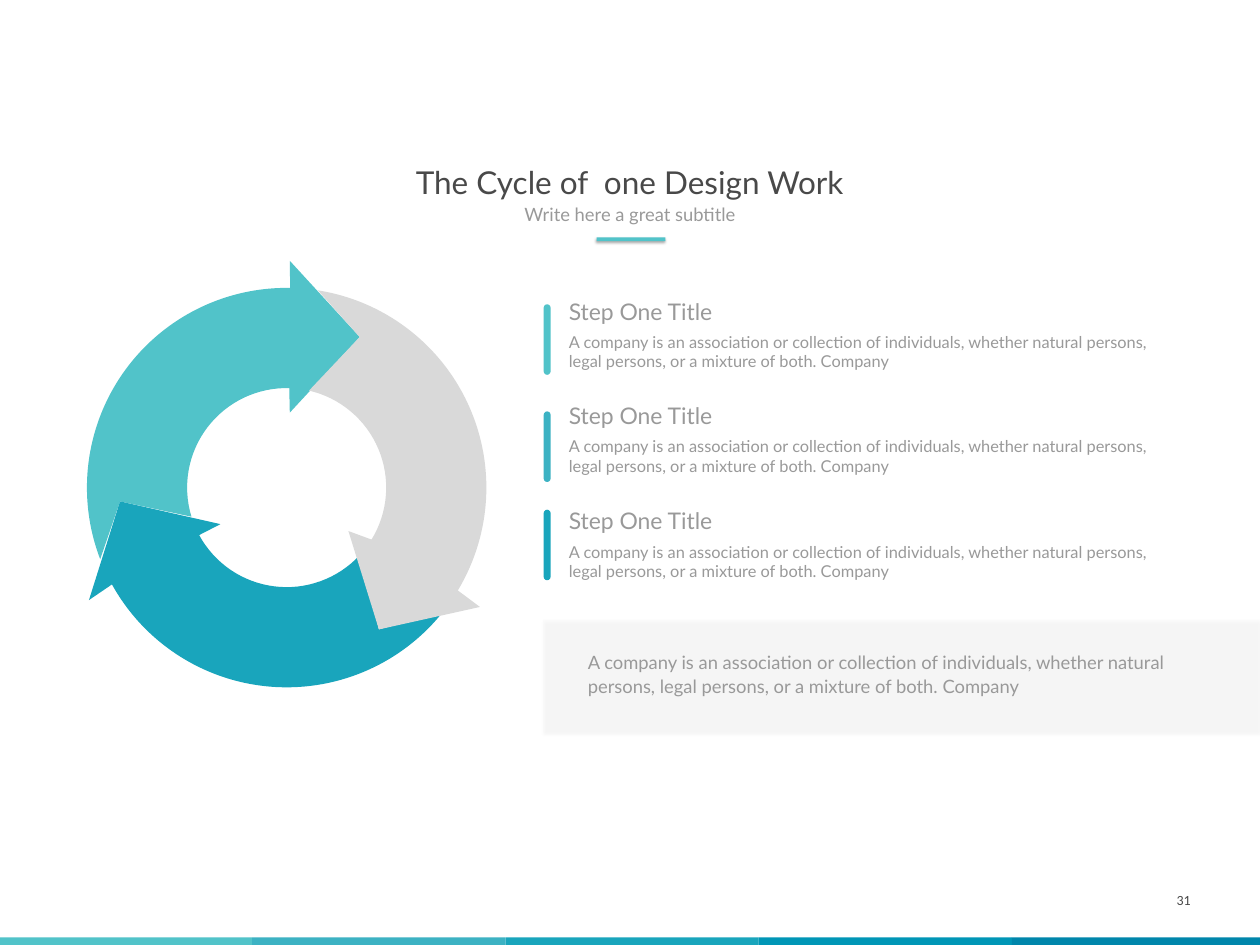
from math import cos, radians, sin, tan

from lxml import etree
from pptx import Presentation
from pptx.dml.color import RGBColor
from pptx.enum.shapes import MSO_SHAPE
from pptx.enum.text import MSO_ANCHOR, MSO_AUTO_SIZE, PP_ALIGN
from pptx.oxml.ns import qn
from pptx.util import Inches, Pt

RECT = MSO_SHAPE.RECTANGLE
PILL = MSO_SHAPE.ROUND_2_SAME_RECTANGLE
LEFT, MID, RIGHT = PP_ALIGN.LEFT, PP_ALIGN.CENTER, PP_ALIGN.RIGHT
TOP, CENTER = MSO_ANCHOR.TOP, MSO_ANCHOR.MIDDLE
FIXED = MSO_AUTO_SIZE.NONE

HUES = {
    "aqua": "51C3C9", "teal": "3CB2C3", "cyan": "19A5BC", "blue": "0096B6",
    "deep": "0086AB", "pale": "F2F2F2", "grey": "D9D9D9", "soft": "999999",
    "dark": "494949", "black": "000000",
}
BLURB = ("A company is an association or collection of individuals, whether "
         "natural persons, legal persons, or a mixture of both. Company")
BENDS = 4


def paint(shape, hue):
    shape.shadow.inherit = False
    shape.fill.solid()
    shape.fill.fore_color.rgb = RGBColor.from_string(HUES[hue])
    shape.line.fill.background()
    return shape


def block(slide, kind, box, hue):
    shape = slide.shapes.add_shape(kind, *map(Inches, box))
    return paint(shape, hue)


def shade(shape):
    glow = shape._element.spPr.find(qn("a:effectLst"))
    drop = etree.SubElement(glow, qn("a:outerShdw"), blurRad=str(Pt(3.1)),
                            dist=str(Pt(1.8)), dir="5400000", rotWithShape="0")
    tint = etree.SubElement(drop, qn("a:srgbClr"), val=HUES["black"])
    etree.SubElement(tint, qn("a:alpha"), val="35000")


def write(shape, text, size, hue, align=LEFT, space=1.0, font="Lato", wrap=True, anchor=TOP):
    frame = shape.text_frame
    frame.auto_size = FIXED
    frame.word_wrap = wrap
    frame.vertical_anchor = anchor
    para = frame.paragraphs[0]
    para.alignment = align
    para.line_spacing = space
    para.space_before = Pt(0)
    run = para.add_run()
    run.text = text
    run.font.name = font
    run.font.size = Pt(size)
    run.font.color.rgb = RGBColor.from_string(HUES[hue])
    return frame


def label(slide, box, *args, **opts):
    return write(slide.shapes.add_textbox(*map(Inches, box)), *args, **opts)


def place(shape, box):
    shape.left, shape.top, shape.width, shape.height = map(Inches, box)
    return shape


def head(slide, x, y, w):
    title = place(slide.shapes.title, (x, y, w, 0.59))
    write(title, "The Cycle of  one Design Work", 36, "dark", MID, 0.8, wrap=False)
    sub = place(slide.placeholders[1], (x + 1.73, y + 0.58, 3.58, 0.38))
    write(sub, "Write here a great subtitle", 21, "soft", MID, 0.8, wrap=False)
    shade(block(slide, RECT, (x + 2.99, y + 1.11, 1.09, 0.06), "aqua"))


def spin(hub, spot, turn):
    a = radians(turn)
    x, y = spot
    return hub[0] + x * cos(a) - y * sin(a), hub[1] + x * sin(a) + y * cos(a)


def arc(core, radius, start, end):
    sweep = (end - start) / BENDS
    pull = radius * tan(radians(sweep) / 4) * 4 / 3
    points = [spin(core, (0, -radius), start)]
    for n in range(BENDS):
        a = start + n * sweep
        b = a + sweep
        points += [spin(core, (pull, -radius), a), spin(core, (-pull, -radius), b),
                   spin(core, (0, -radius), b)]
    return points


def bend(shape):
    lines = list(shape._element.iter(qn("a:lnTo")))
    inner = 3 * BENDS + 4
    for first in (0, inner):
        for n in range(first, first + 3 * BENDS, 3):
            curve = etree.Element(qn("a:cubicBezTo"))
            lines[n].addprevious(curve)
            for line in lines[n:n + 3]:
                curve.append(line[0])
                line.getparent().remove(line)


def ring(slide, x, y):
    core = (x, y)
    tip = (1.15, -2.39)
    hubs = [(x + 0.01, y), (x, y + 0.02), (x - 0.03, y + 0.06)]
    turns = [0, 240, 120]
    hues = ["aqua", "cyan", "grey"]
    for i, (hub, turn, hue) in enumerate(zip(hubs, turns, hues)):
        prior = (i + 1) % 3
        barbs = [spin(hub, p, turn) for p in ((0.04, -3.6), tip, (0.04, -1.19))]
        notch = spin(hubs[prior], tip, turns[prior])
        points = arc(core, 3.17, turn - 111, turn + 1) + barbs
        points += arc(core, 1.58, turn + 1.5, turn - 107) + [notch]
        points = [(Inches(px), Inches(py)) for px, py in points]
        form = slide.shapes.build_freeform(*points[0])
        form.add_line_segments(points[1:], close=True)
        bend(paint(form.convert_to_shape(), hue))


def step(slide, x, y, bar, hue):
    pill = block(slide, PILL, (x - 0.3, bar, 0.11, 1.12), hue)
    pill.adjustments[0] = pill.adjustments[1] = 0.5
    label(slide, (x, y, 2.49, 0.54), "Step One Title", 26.2, "soft", wrap=False)
    label(slide, (x, y + 0.55, 9.88, 0.73), BLURB, 18.7, "soft")


def band(slide, x, y, w, h):
    panel = block(slide, RECT, (x, y, w, h), "pale")
    tint = panel._element.spPr.find(qn("a:solidFill"))[0]
    etree.SubElement(tint, qn("a:alpha"), val="10000")
    shade(panel)
    frame = label(slide, (x + 0.56, y + 0.17, 9.63, 1.34), BLURB, 21, "soft",
                  space=1.1, anchor=CENTER)
    frame.margin_left = Inches(0.15)
    frame.margin_top = frame.margin_right = frame.margin_bottom = 0


def foot(slide, x, y):
    for i, hue in enumerate(["aqua", "teal", "cyan", "blue", "deep"]):
        block(slide, RECT, (x + 4.02 * i, y, 4.02, 0.2), hue)
    label(slide, (x + 14.52, y - 0.99, 4.5, 0.8), "31", 16, "dark", RIGHT,
          font="Calibri", anchor=CENTER)


def main():
    deck = Presentation()
    deck.slide_width, deck.slide_height = Inches(20), Inches(15)
    slide = deck.slides.add_slide(deck.slide_layouts[0])
    foot(slide, -0.02, 14.88)
    band(slide, 8.62, 9.84, 11.37, 1.78)
    ring(slide, 4.55, 7.74)
    steps = [(4.67, 4.83, "aqua"), (6.33, 6.53, "teal"), (8, 8.09, "cyan")]
    for y, bar, hue in steps:
        step(slide, 8.93, y, bar, hue)
    head(slide, 6.48, 2.66, 7.03)
    deck.save("out.pptx")


if __name__ == "__main__":
    main()
